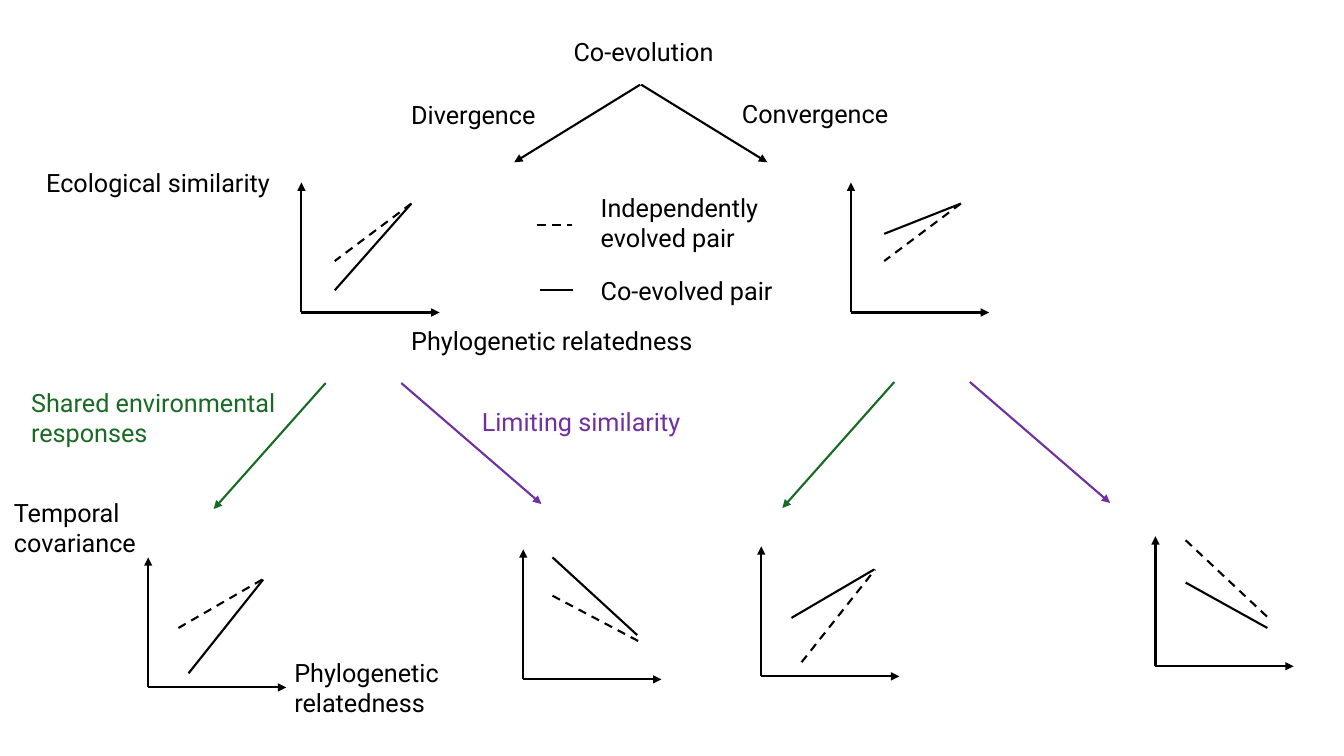
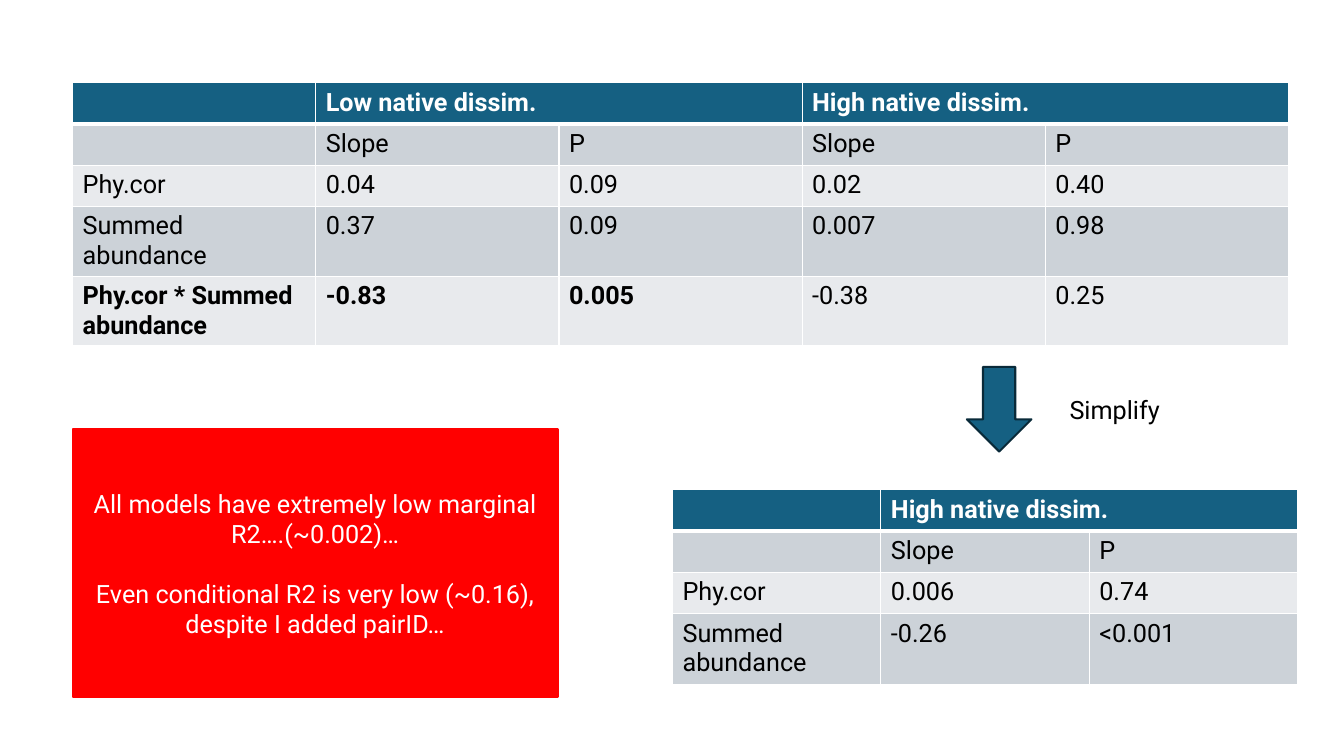
from lxml import etree
from pptx import Presentation
from pptx.dml.color import RGBColor
from pptx.enum.dml import MSO_LINE
from pptx.enum.shapes import MSO_CONNECTOR, MSO_SHAPE
from pptx.enum.text import MSO_ANCHOR, MSO_AUTO_SIZE, PP_ALIGN
from pptx.oxml.ns import qn
from pptx.util import Inches, Pt

STRAIGHT = MSO_CONNECTOR.STRAIGHT
RECTANGLE, DOWN_ARROW = MSO_SHAPE.RECTANGLE, MSO_SHAPE.DOWN_ARROW
DASH = MSO_LINE.DASH
FIT_TEXT = MSO_AUTO_SIZE.SHAPE_TO_FIT_TEXT
MIDDLE, LEFT, CENTER = MSO_ANCHOR.MIDDLE, PP_ALIGN.LEFT, PP_ALIGN.CENTER

COLORS = {
    "ink": "000000", "white": "FFFFFF", "green": "196B24", "purple": "7030A0",
    "teal": "156082", "navy": "092A39", "red": "FF0000",
    "band_dark": "CCD2D8", "band_light": "E8EAED",
}
FONT, SIZE, LINE_WIDTH = "Roboto", 18, 1.5
CELL = 0.1  # side of one grid square, in inches
ROW, TALL_ROW = 4.1, 6.9
X_AXIS, Y_AXIS = 13.7, 12.9


def grid(*lengths):
    """Turn grid columns or rows into slide lengths."""
    return [Inches(n * CELL) for n in lengths]


def rgb(name):
    return RGBColor.from_string(COLORS[name])


def write(tf, *paragraphs, color="ink", bold=False, align=LEFT, gap=0):
    """Fill a text frame; gap is the space in points between paragraphs."""
    tf.word_wrap = True
    for i, text in enumerate(paragraphs):
        p = tf.add_paragraph() if i else tf.paragraphs[0]
        p.alignment = align
        p.space_before = Pt(gap if i else 0)
        r = p.add_run()
        r.text = text
        r.font.name, r.font.size, r.font.bold = FONT, Pt(SIZE), bold
        r.font.color.rgb = rgb(color)


def set_borders(cell, top, bottom):
    """Give a cell white borders, thin at the sides."""
    tc_pr = cell._tc.get_or_add_tcPr()
    for side, width in (("L", 1), ("R", 1), ("T", top), ("B", bottom)):
        ln = etree.SubElement(tc_pr, qn(f"a:ln{side}"), w=str(Pt(width)))
        fill = etree.SubElement(ln, qn("a:solidFill"))
        etree.SubElement(fill, qn("a:srgbClr"), val=COLORS["white"])


class Deck:
    """Holds the presentation and the slide being drawn."""

    def __init__(self):
        self.prs = Presentation()
        self.prs.slide_width, self.prs.slide_height = Inches(13.33), Inches(7.5)

    def new_slide(self):
        s = self.prs.slides.add_slide(self.prs.slide_layouts[6])
        self.shapes = s.shapes

    def label(self, text, x, y, w, lines=1, color="ink"):
        height = 4 if lines == 1 else 7.1
        tf = self.shapes.add_textbox(*grid(x, y, w, height)).text_frame
        write(tf, text, color=color)
        tf.auto_size = FIT_TEXT

    def line(self, start, end, color="ink", dashed=False, arrow=False):
        c = self.shapes.add_connector(STRAIGHT, *grid(*start, *end))
        c.line.color.rgb = rgb(color)
        c.line.width = Pt(LINE_WIDTH)
        if dashed:
            c.line.dash_style = DASH
        if arrow:
            etree.SubElement(c.line._get_or_add_ln(), qn("a:tailEnd"), type="triangle")
        etree.SubElement(c._element.spPr, qn("a:effectLst"))

    def plot(self, x, y, dashed, solid):
        """Draw axes from the origin x, y and two lines measured right and up from it."""
        self.line((x, y), (x, y - Y_AXIS), arrow=True)
        self.line((x, y), (x + X_AXIS, y), arrow=True)
        for (x1, y1, x2, y2), is_dashed in ((dashed, True), (solid, False)):
            self.line((x + x1, y - y1), (x + x2, y - y2), dashed=is_dashed)

    def shape(self, kind, x, y, w, h, fill, outline):
        sp = self.shapes.add_shape(kind, *grid(x, y, w, h))
        sp.shadow.inherit = False
        sp.fill.solid()
        sp.fill.fore_color.rgb = rgb(fill)
        sp.line.color.rgb = rgb(outline)
        sp.line.width = Pt(LINE_WIDTH)
        return sp

    def table(self, x, y, w, groups, body, heights, bold=()):
        """Draw a table whose header groups each span a Slope and a P column."""
        header = [""]
        for group in groups:
            header += [group, ""]
        rows = [header, [""] + ["Slope", "P"] * len(groups)] + body
        table = self.shapes.add_table(
            len(rows), len(header), *grid(x, y, w, sum(heights))).table
        for column in table.columns:
            column.width, = grid(w / len(header))
        for i, values in enumerate(rows):
            table.rows[i].height, = grid(heights[i])
            band = "teal" if i == 0 else "band_dark" if i % 2 else "band_light"
            for j, value in enumerate(values):
                cell = table.cell(i, j)
                set_borders(cell, 3 if i == 1 else 1, 3 if i == 0 else 1)
                cell.fill.solid()
                cell.fill.fore_color.rgb = rgb(band)
                if value:
                    write(cell.text_frame, value, color="ink" if i else "white",
                          bold=i == 0 or (i, j) in bold)
        for j in range(1, len(header), 2):
            table.cell(0, j).merge(table.cell(0, j + 1))


def add_hypotheses(deck):
    deck.new_slide()
    deck.line((63.5, 8.4), (51, 16.1), arrow=True)
    deck.line((63.6, 8.4), (76.1, 16.1), arrow=True)
    for dx, dy in ((0, 0), (56.4, -0.1)):
        deck.line((32.3 + dx, 38 + dy), (21.2 + dx, 50.5 + dy), "green", arrow=True)
        deck.line((39.8 + dx, 38 + dy), (53.7 + dx, 50 + dy), "purple", arrow=True)

    independent = (10.9, 10.8, 3.3, 5.1)
    for x, y, dashed, solid in (
        (29.9, 31, independent, (3.3, 2.2, 10.9, 10.8)),
        (84.4, 31, independent, (3.3, 7.8, 10.9, 10.8)),
        (14.7, 68.2, (3, 5.9, 11.3, 10.7), (4, 1.4, 11.4, 10.7)),
        (51.9, 67.4, (2.9, 8.3, 11.6, 3.7), (2.9, 12.1, 11.3, 4.4)),
        (75.5, 67.1, (4, 1.4, 11.3, 10.6), (3, 5.8, 11.2, 10.6)),
        (114.6, 66.1, (3, 12.5, 11.2, 4.8), (3, 8.3, 11.1, 3.8)),
    ):
        deck.plot(x, y, dashed, solid)

    deck.line((53.3, 22.3), (56.7, 22.3), dashed=True)
    deck.line((53.6, 28.8), (56.8, 28.8))

    for text, x, y, w, lines, color in (
        ("Co-evolution", 55.9, 3.1, 17.2, 1, "ink"),
        ("Divergence", 39.8, 9.4, 20.1, 1, "ink"),
        ("Convergence", 72.6, 9.3, 20.1, 1, "ink"),
        ("Ecological similarity", 3.6, 16.1, 24.6, 1, "ink"),
        ("Phylogenetic relatedness", 39.8, 31.8, 30.4, 1, "ink"),
        ("Independently evolved pair", 58.6, 18.6, 21.3, 2, "ink"),
        ("Co-evolved pair", 58.6, 26.8, 21.3, 1, "ink"),
        ("Shared environmental responses", 2.1, 37.9, 26.8, 2, "green"),
        ("Limiting similarity", 46.8, 39.8, 26.8, 1, "purple"),
        ("Temporal covariance", 0.4, 48.8, 14.4, 2, "ink"),
        ("Phylogenetic relatedness", 28.2, 64.7, 22.2, 2, "ink"),
    ):
        deck.label(text, x, y, w, lines, color)


def add_model_results(deck):
    deck.new_slide()
    deck.table(
        7.2, 8.2, 120.6, ["Low native dissim.", "High native dissim."],
        [["Phy.cor", "0.04", "0.09", "0.02", "0.40"],
         ["Summed abundance", "0.37", "0.09", "0.007", "0.98"],
         ["Phy.cor * Summed abundance", "-0.83", "0.005", "-0.38", "0.25"]],
        [ROW] * 3 + [TALL_ROW] * 2, bold={(4, 0), (4, 1), (4, 2)})
    deck.shape(DOWN_ARROW, 95.9, 36.4, 6.4, 8.4, "teal", "navy")
    deck.label("Simplify", 105.1, 38.6, 15)
    deck.table(
        66.7, 48.6, 62, ["High native dissim."],
        [["Phy.cor", "0.006", "0.74"],
         ["Summed abundance", "-0.26", "<0.001"]],
        [ROW] * 3 + [TALL_ROW])
    tf = deck.shape(RECTANGLE, 7.2, 42.6, 48.1, 26.6, "red", "red").text_frame
    tf.vertical_anchor = MIDDLE
    write(tf, "All models have extremely low marginal R2….(~0.002)…",
          "Even conditional R2 is very low (~0.16), despite I added pairID…",
          color="white", align=CENTER, gap=21.5)


def main():
    deck = Deck()
    add_hypotheses(deck)
    add_model_results(deck)
    deck.prs.save("out.pptx")


if __name__ == "__main__":
    main()
